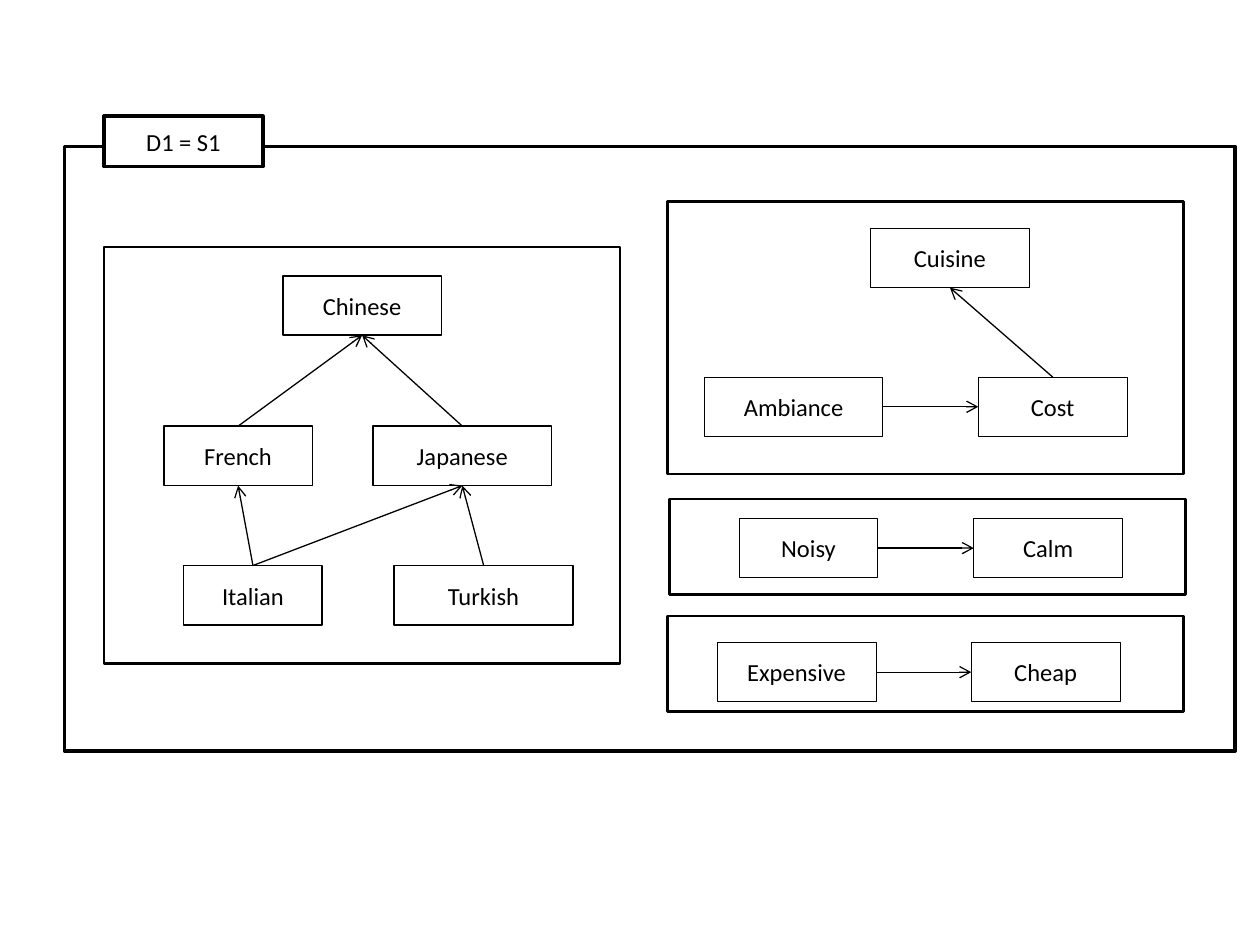
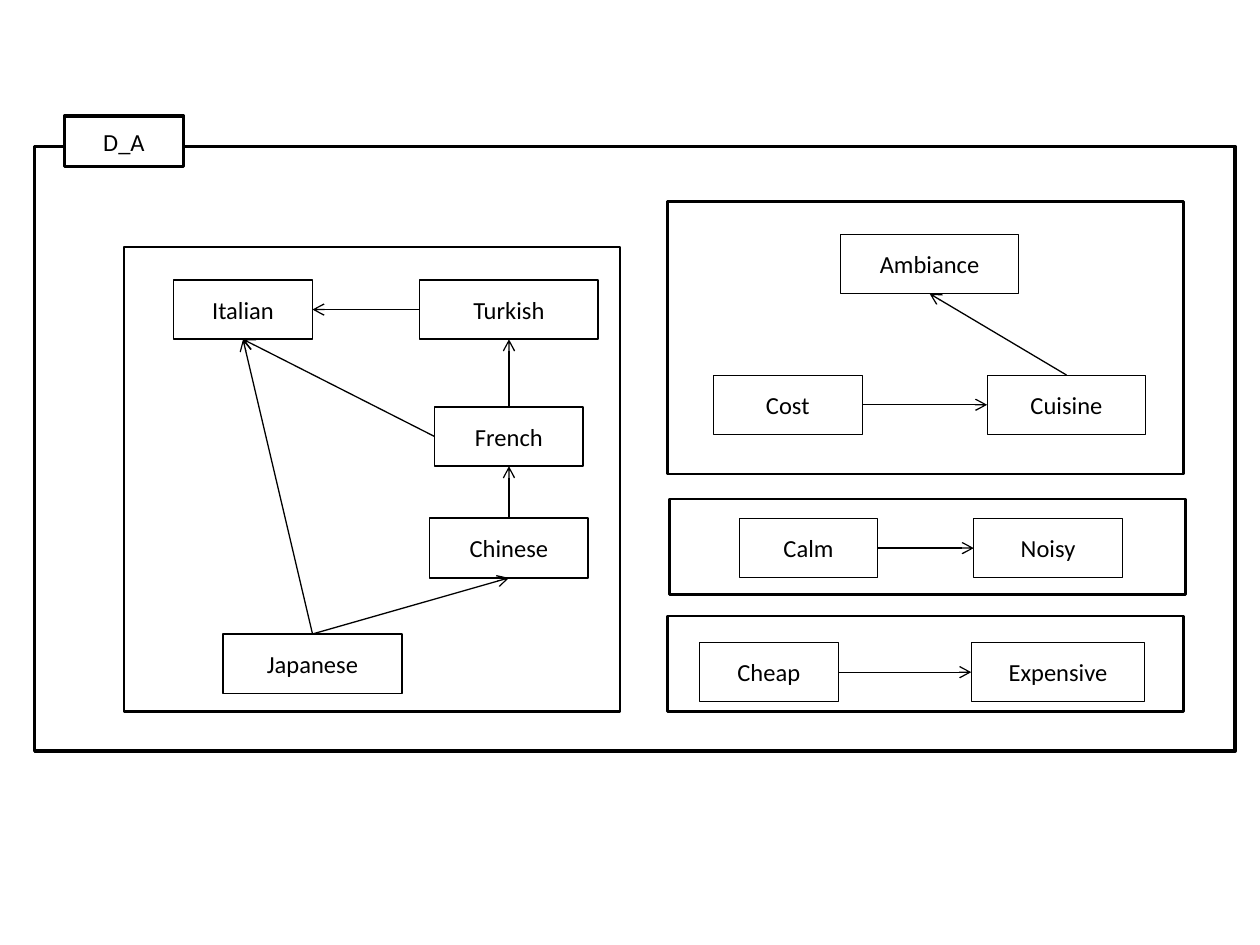
from lxml import etree
from pptx import Presentation
from pptx.dml.color import RGBColor
from pptx.enum.shapes import MSO_CONNECTOR, MSO_SHAPE
from pptx.enum.text import MSO_ANCHOR, PP_ALIGN
from pptx.oxml.ns import qn
from pptx.util import Cm, Pt

RECTANGLE = MSO_SHAPE.RECTANGLE
STRAIGHT = MSO_CONNECTOR.STRAIGHT
MIDDLE = MSO_ANCHOR.MIDDLE
CENTER = PP_ALIGN.CENTER
TOP, LEFT, BOTTOM, RIGHT = range(4)  # connection sites of a rectangle

COLORS = {"ink": "000000", "paper": "FFFFFF"}
FONT = "Calibri"
FONT_SIZE = 14
NODE_HEIGHT = 1.2
CUISINE_LINE, VALUE_LINE, FRAME_LINE, BORDER_LINE = 1, 0.5, 1.5, 2
ARROW_LINE = 0.75

# Frames of the attribute, ambiance and cost orders: left, top, width, height
RIGHT_FRAMES = [
    (13.46, 4.06, 10.4, 5.5),
    (13.5, 10.06, 10.4, 1.93),
    (13.46, 12.42, 10.4, 1.93),
]


def color(name):
    return RGBColor.from_string(COLORS[name])


def add_frame(page, left, top, width, height, line_width=FRAME_LINE):
    frame = page.shapes.add_shape(RECTANGLE, Cm(left), Cm(top), Cm(width), Cm(height))
    frame.shadow.inherit = False
    frame.fill.background()
    frame.line.color.rgb = color("ink")
    frame.line.width = Pt(line_width)
    return frame


def add_label_box(page, label, left, top, width, height, line_width):
    box = add_frame(page, left, top, width, height, line_width)
    box.text_frame.text = label
    box.text_frame.vertical_anchor = MIDDLE
    para = box.text_frame.paragraphs[0]
    para.alignment = CENTER
    font = para.runs[0].font
    font.name = FONT
    font.size = Pt(FONT_SIZE)
    font.color.rgb = color("ink")
    return box


def add_nodes(page, places, line_width):
    """Draw label: (left, top, width) entries and return the boxes by label."""
    return {
        label: add_label_box(page, label, left, top, width, NODE_HEIGHT, line_width)
        for label, (left, top, width) in places.items()
    }


def add_arrow(page, start, end, start_site=TOP, end_site=BOTTOM):
    arrow = page.shapes.add_connector(STRAIGHT, 0, 0, 0, 0)
    arrow.begin_connect(start, start_site)
    arrow.end_connect(end, end_site)
    arrow.line.color.rgb = color("ink")
    arrow.line.width = Pt(ARROW_LINE)
    etree.SubElement(arrow.line._get_or_add_ln(), qn("a:tailEnd"), type="arrow")
    etree.SubElement(arrow._element.spPr, qn("a:effectLst"))


def add_preference_page(deck, title, border_left, title_left, title_width,
                        cuisine_frame, cuisines, values, arrows):
    """Draw one set of preference orders inside a titled border."""
    page = deck.slides.add_slide(deck.slide_layouts[6])
    add_frame(page, border_left, 2.95, 24.9 - border_left, 12.19, BORDER_LINE)
    for frame in [cuisine_frame, *RIGHT_FRAMES]:
        add_frame(page, *frame)
    tag = add_label_box(page, title, title_left, 2.34, title_width, 1.02, BORDER_LINE)
    tag.fill.solid()
    tag.fill.fore_color.rgb = color("paper")

    nodes = add_nodes(page, cuisines, CUISINE_LINE)
    nodes.update(add_nodes(page, values, VALUE_LINE))
    for start, end, *sites in arrows:
        add_arrow(page, nodes[start], nodes[end], *sites)


def main():
    deck = Presentation()
    deck.slide_width, deck.slide_height = Cm(25.4), Cm(19.05)

    add_preference_page(
        deck, "D1 = S1", border_left=1.3, title_left=2.1, title_width=3.2,
        cuisine_frame=(2.1, 4.98, 10.4, 8.4),
        cuisines={
            "Chinese": (5.7, 5.56, 3.2),
            "French": (3.3, 8.59, 3),
            "Japanese": (7.52, 8.59, 3.6),
            "Italian": (3.7, 11.4, 2.8),
            "Turkish": (7.95, 11.4, 3.6),
        },
        values={
            "Cuisine": (17.55, 4.6, 3.2),
            "Ambiance": (14.2, 7.6, 3.6),
            "Cost": (19.72, 7.6, 3),
            "Noisy": (14.9, 10.45, 2.8),
            "Calm": (19.63, 10.45, 3),
            "Expensive": (14.46, 12.95, 3.2),
            "Cheap": (19.58, 12.95, 3),
        },
        arrows=[
            ("French", "Chinese"),
            ("Japanese", "Chinese"),
            ("Italian", "Japanese"),
            ("Turkish", "Japanese"),
            ("Italian", "French"),
            ("Cost", "Cuisine"),
            ("Ambiance", "Cost", RIGHT, LEFT),
            ("Noisy", "Calm", RIGHT, LEFT),
            ("Expensive", "Cheap", RIGHT, LEFT),
        ],
    )

    add_preference_page(
        deck, "D_A", border_left=0.7, title_left=1.3, title_width=2.4,
        cuisine_frame=(2.5, 4.98, 10, 9.37),
        cuisines={
            "Italian": (3.5, 5.64, 2.8),
            "Turkish": (8.46, 5.64, 3.6),
            "French": (8.76, 8.2, 3),
            "Chinese": (8.66, 10.45, 3.2),
            "Japanese": (4.5, 12.78, 3.6),
        },
        values={
            "Ambiance": (16.94, 4.72, 3.6),
            "Cost": (14.38, 7.56, 3),
            "Cuisine": (19.9, 7.56, 3.2),
            "Calm": (14.9, 10.45, 2.8),
            "Noisy": (19.63, 10.45, 3),
            "Cheap": (14.1, 12.95, 2.8),
            "Expensive": (19.58, 12.95, 3.5),
        },
        arrows=[
            ("Japanese", "Italian"),
            ("Japanese", "Chinese"),
            ("Chinese", "French"),
            ("French", "Italian", LEFT, BOTTOM),
            ("French", "Turkish"),
            ("Turkish", "Italian", LEFT, RIGHT),
            ("Cuisine", "Ambiance"),
            ("Cost", "Cuisine", RIGHT, LEFT),
            ("Calm", "Noisy", RIGHT, LEFT),
            ("Cheap", "Expensive", RIGHT, LEFT),
        ],
    )

    deck.save("out.pptx")


if __name__ == "__main__":
    main()
